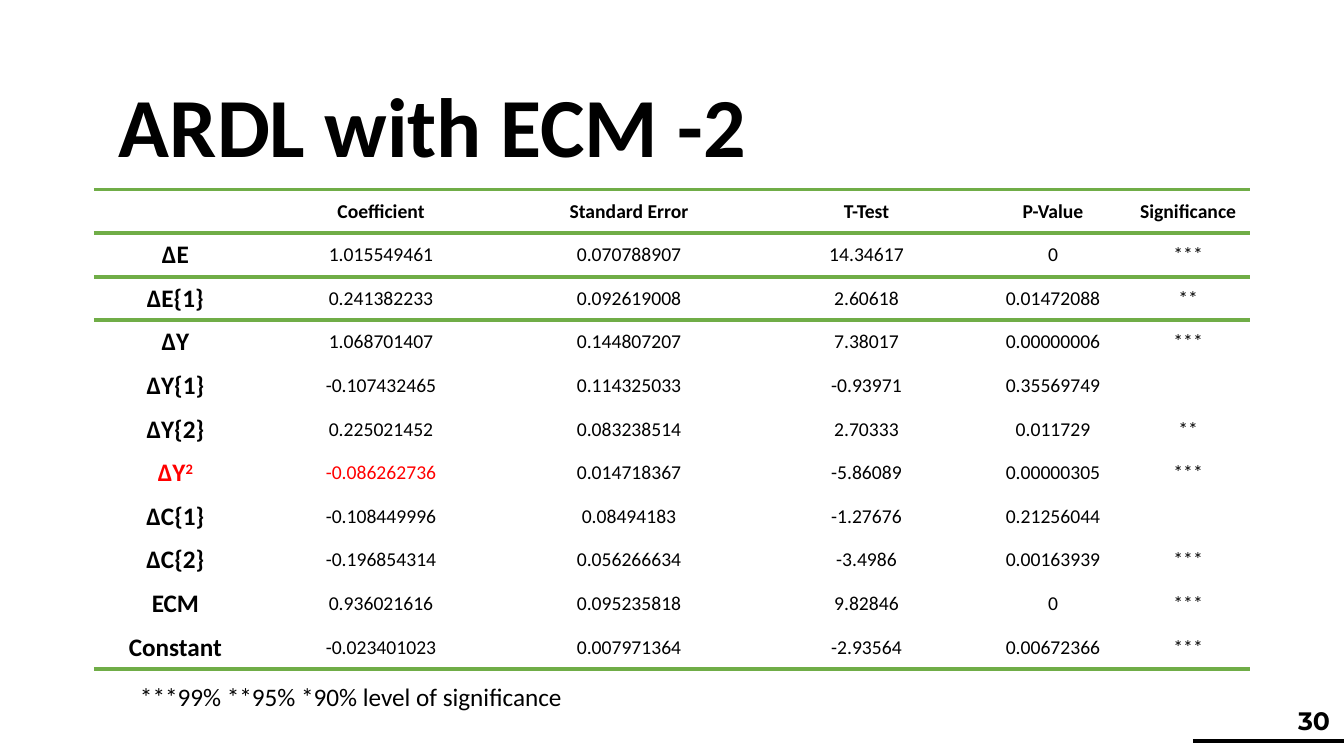
import dataclasses

import pptx
import pptx.dml.color
import pptx.enum.shapes
import pptx.enum.text
import pptx.oxml
import pptx.oxml.ns
import pptx.util
from pptx.util import Inches, Pt

ALIGN = pptx.enum.text.PP_ALIGN
ANCHOR = pptx.enum.text.MSO_ANCHOR
FIT = pptx.enum.text.MSO_AUTO_SIZE
RGB = pptx.dml.color.RGBColor.from_string


@dataclasses.dataclass(frozen=True)
class Theme:
    ink: str = "000000"
    rule: str = "70AD47"
    alert: str = "FF0000"
    font: str = "Calibri"
    accent: str = "Montserrat"
    title: int = 60
    label: int = 18
    body: int = 14
    line: int = 3


THEME = Theme()
PLAIN_STYLE = "{2D5ABB26-0587-4C30-8999-92F81FD0307C}"
WIDTHS = (1.62, 2.46, 2.46, 2.25, 1.45, 1.23)
ROWS = (
    ("", "Coefficient", "Standard Error", "T-Test", "P-Value", "Significance"),
    ("ΔE", "1.015549461", "0.070788907", "14.34617", "0", "***"),
    ("ΔE{1}", "0.241382233", "0.092619008", "2.60618", "0.01472088", "**"),
    ("ΔY", "1.068701407", "0.144807207", "7.38017", "0.00000006", "***"),
    ("ΔY{1}", "-0.107432465", "0.114325033", "-0.93971", "0.35569749", ""),
    ("ΔY{2}", "0.225021452", "0.083238514", "2.70333", "0.011729", "**"),
    ("ΔY^2", "-0.086262736", "0.014718367", "-5.86089", "0.00000305", "***"),
    ("ΔC{1}", "-0.108449996", "0.08494183", "-1.27676", "0.21256044", ""),
    ("ΔC{2}", "-0.196854314", "0.056266634", "-3.4986", "0.00163939", "***"),
    ("ECM", "0.936021616", "0.095235818", "9.82846", "0", "***"),
    ("Constant", "-0.023401023", "0.007971364", "-2.93564", "0.00672366", "***"),
)
RULES = (0, 1, 2, len(ROWS))  # row edges that carry a line
ALERT_ROW = 6


def style(par, size, bold=False, color=THEME.ink, font=THEME.font):
    for run in par.runs:
        run.font.name = font
        run.font.size = Pt(size)
        run.font.bold = bold
        run.font.color.rgb = RGB(color)


def add_rule(cell, side):
    """Draw a line on one side of a cell: lnT or lnB."""
    cell._tc.get_or_add_tcPr().append(pptx.oxml.parse_xml(
        f'<a:{side} {pptx.oxml.ns.nsdecls("a")} w="{Pt(THEME.line)}">'
        f'<a:solidFill><a:srgbClr val="{THEME.rule}"/></a:solidFill></a:{side}>'))


def fill_cell(cell, text, row, col):
    """Write a cell; text after ^ is raised."""
    base, _, power = text.partition("^")
    par = cell.text_frame.paragraphs[0]
    par.text = base
    par.alignment = ALIGN.CENTER
    if power:
        run = par.add_run()
        run.text = power
        run._r.get_or_add_rPr().set("baseline", "30000")
    style(par, THEME.label if col == 0 else THEME.body,
          bold=row == 0 or col == 0,
          color=THEME.alert if row == ALERT_ROW and col < 2 else THEME.ink)
    cell.vertical_anchor = ANCHOR.MIDDLE
    if row in RULES:
        add_rule(cell, "lnT")
    if row + 1 in RULES:
        add_rule(cell, "lnB")
    cell.fill.background()


def add_results(slide, left, top, width, height):
    frame = slide.shapes.add_table(
        len(ROWS), len(WIDTHS), Inches(left), Inches(top), Inches(width), Inches(height))
    table = frame.table
    table.first_row = table.horz_banding = False
    table._tbl.tblPr.find(pptx.oxml.ns.qn("a:tableStyleId")).text = PLAIN_STYLE
    for column, share in zip(table.columns, WIDTHS):
        column.width = Inches(width * share / sum(WIDTHS))
    for row, texts in enumerate(ROWS):
        table.rows[row].height = Inches(height / len(ROWS))
        for col, text in enumerate(texts):
            fill_cell(table.cell(row, col), text, row, col)


def set_title(slide, left, top, width, height):
    title = slide.shapes.title
    title.left, title.top = Inches(left), Inches(top)
    title.width, title.height = Inches(width), Inches(height)
    frame = title.text_frame
    frame.text = "ARDL with ECM -2"
    frame.auto_size = FIT.NONE
    frame.vertical_anchor = ANCHOR.MIDDLE
    par = frame.paragraphs[0]
    par.alignment = ALIGN.LEFT
    par.line_spacing = 0.9
    style(par, THEME.title, bold=True)


def add_note(slide, left, top, width, height):
    box = slide.shapes.add_textbox(Inches(left), Inches(top), Inches(width), Inches(height))
    frame = box.text_frame
    frame.text = "***99% **95% *90% level of significance"
    frame.word_wrap = False
    frame.auto_size = FIT.SHAPE_TO_FIT_TEXT
    style(frame.paragraphs[0], THEME.label)


def add_number(slide, left, top, width, height):
    """Place the page number and the bar below it, out to the slide edge."""
    box = slide.shapes.add_textbox(Inches(left), Inches(top), Inches(width), Inches(height))
    frame = box.text_frame
    frame.text = "30"
    frame.word_wrap = True
    par = frame.paragraphs[0]
    par.alignment = ALIGN.RIGHT
    style(par, THEME.label, bold=True, font=THEME.accent)
    right, base = Inches(left + width + 0.04), Inches(top + height)
    bar = slide.shapes.add_connector(
        pptx.enum.shapes.MSO_CONNECTOR.STRAIGHT, right - Inches(1.5), base, right, base)
    bar.line.color.rgb = RGB(THEME.ink)
    bar.line.width = Pt(THEME.line)
    bar._element.spPr.append(
        pptx.oxml.parse_xml(f'<a:effectLst {pptx.oxml.ns.nsdecls("a")}/>'))


def main():
    deck = pptx.Presentation()
    deck.slide_width, deck.slide_height = Inches(13.33), Inches(7.5)
    slide = deck.slides.add_slide(deck.slide_layouts[5])
    set_title(slide, 1.08, 0.57, 11.5, 1.45)
    add_results(slide, 0.93, 1.88, 11.47, 4.76)
    add_note(slide, 1.29, 6.71, 4.44, 0.4)
    add_number(slide, 10.29, 6.95, 3, 0.4)
    deck.save("out.pptx")


if __name__ == "__main__":
    main()
